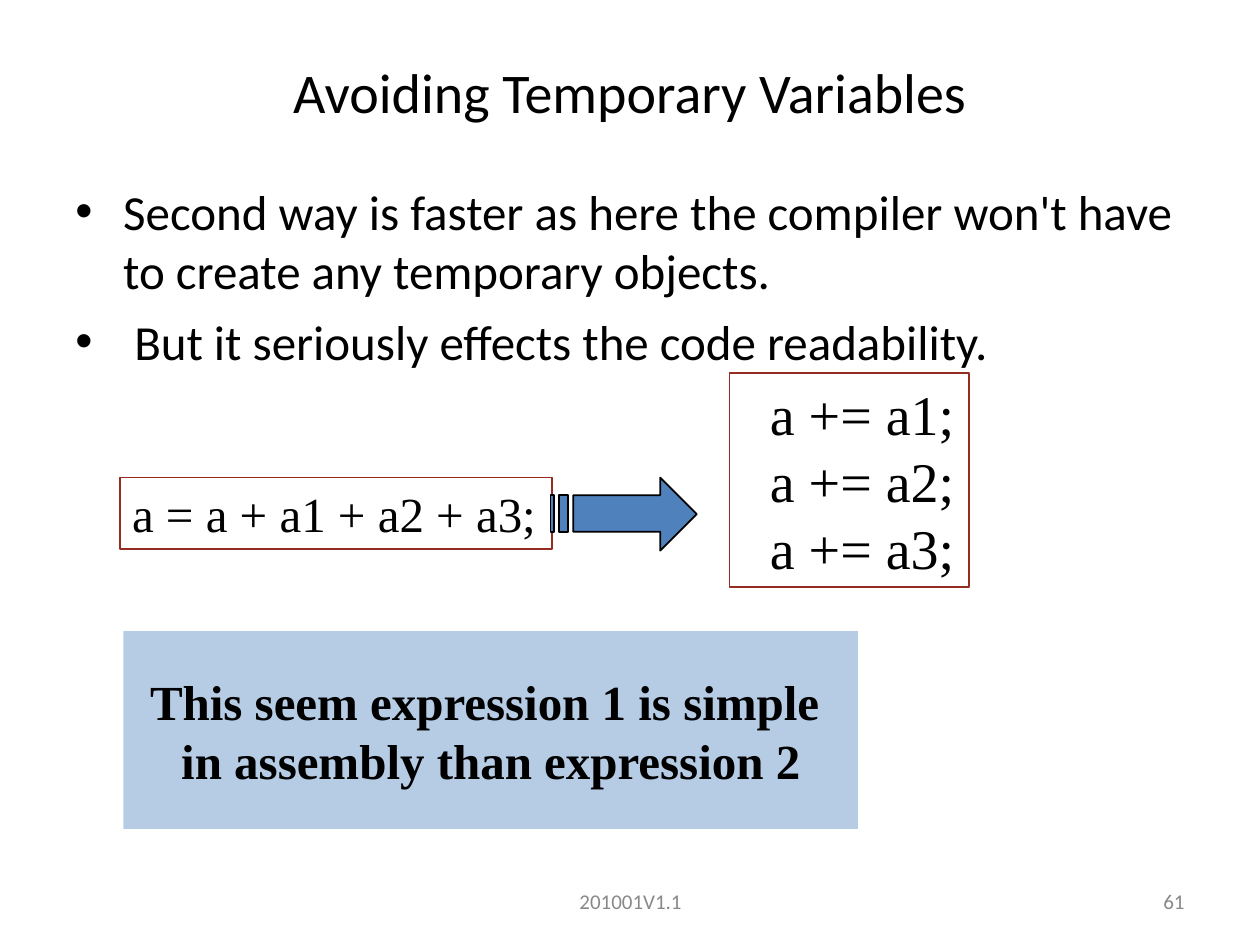
from lxml import etree
from pptx import Presentation
from pptx.dml.color import RGBColor
from pptx.enum import shapes, text
from pptx.oxml import ns
from pptx.util import Inches, Pt

BLACK, GREY, RED, BLUE, PALE = "000000", "898989", "952C21", "4F81BD", "B6CBE4"
SANS, SERIF = "Calibri", "Times New Roman"
LEFT, CENTER, RIGHT = text.PP_ALIGN.LEFT, text.PP_ALIGN.CENTER, text.PP_ALIGN.RIGHT
TOP, MIDDLE = text.MSO_ANCHOR.TOP, text.MSO_ANCHOR.MIDDLE


def color(value):
    return RGBColor.from_string(value)


def paint(shape, fill=None, line=None):
    shape.shadow.inherit = False
    if fill:
        shape.fill.solid()
        shape.fill.fore_color.rgb = color(fill)
    else:
        shape.fill.background()
    if line:
        shape.line.color.rgb = color(line)
        shape.line.width = Pt(1)
    else:
        shape.line.fill.background()


def add_bullet(para, indent=0.38):
    props = para._p.get_or_add_pPr()
    props.set("marL", str(Inches(indent)))
    props.set("indent", str(-Inches(indent)))
    etree.SubElement(props, ns.qn("a:buFont"), typeface="Arial")
    etree.SubElement(props, ns.qn("a:buChar"), char="•")


def write(shape, paragraphs, size, font=SANS, ink=BLACK, bold=False,
          align=LEFT, anchor=TOP, wrap=True, bullets=False, gap=0):
    """Fill a shape with paragraphs; a vertical tab inside one breaks the line."""
    frame = shape.text_frame
    frame.word_wrap = wrap
    frame.vertical_anchor = anchor
    frame.text = "\n".join(paragraphs)
    for index, para in enumerate(frame.paragraphs):
        para.alignment = align
        para.space_before = Pt(gap if index else 0)
        if bullets:
            add_bullet(para)
        for span in para.runs:
            span.font.size = Pt(size)
            span.font.name = font
            span.font.bold = bold
            span.font.color.rgb = color(ink)


def add_text(page, bounds, paragraphs, size, **style):
    box = page.shapes.add_textbox(*map(Inches, bounds))
    write(box, paragraphs, size, **style)


def add_panel(page, bounds, paragraphs, size, fill=None, line=None, **style):
    panel = page.shapes.add_shape(shapes.MSO_SHAPE.RECTANGLE, *map(Inches, bounds))
    paint(panel, fill, line)
    write(panel, paragraphs, size, font=SERIF, wrap=False, **style)
    return panel


def add_code(page, bounds, code, size):
    panel = add_panel(page, bounds, [code], size, line=RED)
    panel.text_frame.auto_size = text.MSO_AUTO_SIZE.SHAPE_TO_FIT_TEXT


def add_striped_arrow(page, left, top):
    """Draw a right arrow whose tail ends in two stripes."""
    middle, bottom = top + 0.29, top + 0.58
    upper, lower = top + 0.14, top + 0.43
    neck, tip = left + 0.87, left + 1.16
    head = [(neck, top), (neck, upper), (left + 0.18, upper), (left + 0.18, lower),
            (neck, lower), (neck, bottom), (tip, middle)]
    stripes = [[(a, upper), (a, lower), (b, lower), (b, upper)]
               for a, b in ((left + 0.07, left + 0.14), (left, left + 0.03))]
    outlines = [[(Inches(x), Inches(y)) for x, y in outline]
                for outline in (head, *stripes)]
    builder = page.shapes.build_freeform(*outlines[0][0])
    builder.add_line_segments(outlines[0][1:], close=True)
    for start, *corners in outlines[1:]:
        builder.move_to(*start)
        builder.add_line_segments(corners, close=True)
    paint(builder.convert_to_shape(), BLUE, BLACK)


def main():
    deck = Presentation()
    deck.slide_width, deck.slide_height = Inches(10), Inches(7.5)
    page = deck.slides.add_slide(deck.slide_layouts[6])

    add_text(page, (3.42, 6.95, 3.17, 0.4), ["201001V1.1"], 12,
             ink=GREY, align=CENTER, anchor=MIDDLE)
    add_text(page, (7.17, 6.95, 2.33, 0.4), ["61"], 12,
             ink=GREY, align=RIGHT, anchor=MIDDLE)
    add_text(page, (0, 0.3, 10, 0.85), ["Avoiding Temporary Variables"], 32,
             align=CENTER, anchor=MIDDLE)
    add_text(page, (0.5, 1.39, 9, 5.31), [
        "Second way is faster as here the compiler won't have to create any temporary objects.",
        " But it seriously effects the code readability.",
    ], 28, bullets=True, gap=7)

    add_code(page, (0.95, 3.79, 3.43, 0.57), "a = a + a1 + a2 + a3;", 28)
    additions = "\v".join(f"  a += a{n};" for n in (1, 2, 3))
    add_code(page, (5.79, 2.96, 1.9, 1.7), additions, 32)
    add_striped_arrow(page, 4.37, 3.79)
    add_panel(page, (0.98, 5.01, 5.83, 1.57),
              ["This seem expression 1 is simple ", "in assembly than expression 2"], 28,
              fill=PALE, bold=True, align=CENTER, anchor=MIDDLE)

    deck.save("out.pptx")


if __name__ == "__main__":
    main()
